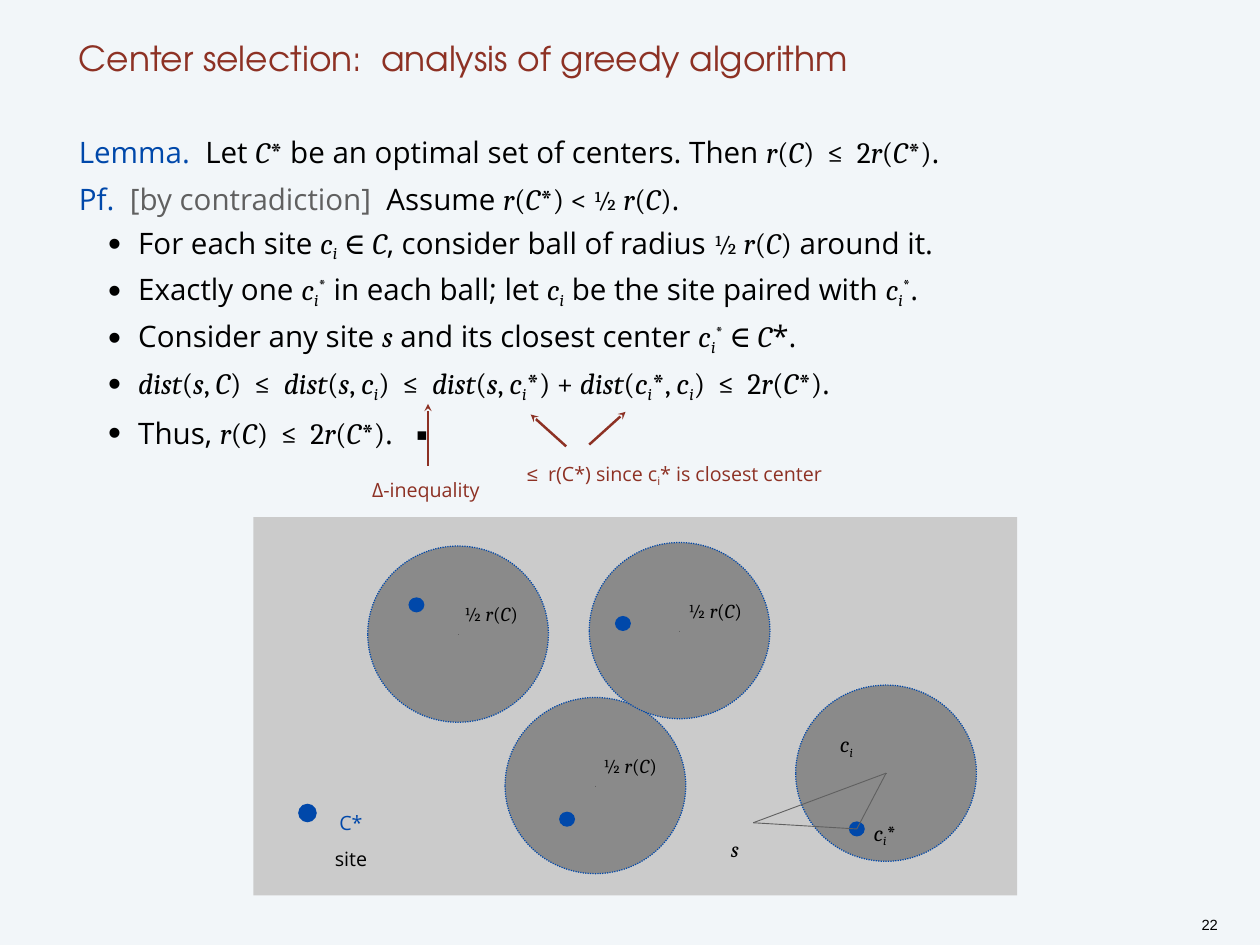
"""Build the slide on the analysis of the greedy center selection algorithm."""
from itertools import groupby

from lxml.etree import SubElement
from pptx import Presentation
from pptx.dml.color import RGBColor
from pptx.enum.dml import MSO_LINE
from pptx.enum.shapes import MSO_CONNECTOR, MSO_SHAPE
from pptx.enum.text import MSO_ANCHOR, MSO_AUTO_SIZE, PP_ALIGN
from pptx.oxml.ns import qn
from pptx.util import Inches, Pt

COLORS = {
    "page": "F2F6F9", "red": "8D3124", "blue": "0048AA", "gray": "606060",
    "black": "000000", "panel": "CBCBCB", "ball": "8A8A8A",
}
TEXT_FONT, MATH_FONT, TITLE_FONT = "Open Sans", "Cambria", "TeX Gyre Adventor"
SHIFTS = {"_": "-20000", "^": "32000"}
BALL_SIZE = (2.04, 1.99)
SITE_SIZE = (0.18, 0.17)

STATEMENTS = [
    [("Lemma.  ", "blue"),
     ("Let $C*$ be an optimal set of centers. Then $r(C)  ≤  2r(C*)$.", "black")],
    [("Pf.  ", "blue"), ("[by contradiction]", "gray"),
     ("  Assume $r(C*) < ½ r(C)$.", "black")],
]
STEPS = [
    "For each site $c_i ∈ C$, consider ball of radius $½ r(C)$ around it.",
    "Exactly one $c_i^*$ in each ball; let $c_i$ be the site paired with $c_i^*$.",
    "Consider any site $s$ and its closest center $c_i^* ∈ C$*.",
    "$dist(s, C)  ≤  dist(s, c_i)  ≤  dist(s, c_i*) + dist(c_i*, c_i)  ≤  2r(C*)$.",
    "Thus, $r(C)  ≤  2r(C*)$.   ▪",
]
BALL_CENTERS = [(5.17, 7.16), (6.72, 8.87), (7.67, 7.12), (10, 8.73)]
SITE_CENTERS = [(6.4, 9.25), (4.7, 6.83), (7.03, 7.04), (9.67, 9.36)]
RADIUS_LABELS = [(5.24, 6.71), (6.81, 8.43), (7.77, 6.68)]
TRIANGLE = [(10, 8.73), (8.5, 9.29), (9.67, 9.36)]
ARROWS = [
    ((6.39, 5.04), (5.99, 4.68)),
    ((4.83, 5.26), (4.83, 4.56)),
    ((6.65, 5.02), (7.06, 4.65)),
]


def color(name):
    """Return the named colour."""
    return RGBColor.from_string(COLORS[name])


def split_styles(text, is_math):
    """Yield pieces of text with their italic, baseline, small and Arial settings."""
    styled, shift = [], None
    for char in text:
        if char in SHIFTS:
            shift = SHIFTS[char]
            continue
        style = (is_math and char.isalpha(), shift, char == "½", char == "≤" and not is_math)
        styled.append((char, style))
        shift = None
    for style, group in groupby(styled, key=lambda item: item[1]):
        yield "".join(char for char, _ in group), style


def add_spans(para, text, size, tint=None):
    """Add text in which dollar signs enclose mathematics."""
    for index, part in enumerate(text.split("$")):
        is_math = index % 2 == 1
        for piece, (italic, shift, is_half, is_arial) in split_styles(part, is_math):
            span = para.add_run()
            span.text = piece
            if is_math:
                span.font.name = MATH_FONT
            if is_arial:
                span.font.name = "Arial"
            if italic:
                span.font.italic = True
            if is_half and size == 24:
                span.font.size = Pt(22)
            if tint:
                span.font.color.rgb = color(tint)
            if shift:
                span._r.get_or_add_rPr().set("baseline", shift)


def set_font(para, size, tint="black", font=TEXT_FONT):
    """Set the font that the paragraph's runs share."""
    para.font.size = Pt(size)
    para.font.name = font
    para.font.color.rgb = color(tint)


def add_box(page, left, top, width, height, inset=0):
    """Add an empty text box and return its frame."""
    box = page.shapes.add_textbox(Inches(left), Inches(top), Inches(width), Inches(height))
    frame = box.text_frame
    frame.word_wrap = True
    frame.margin_left = frame.margin_right = Inches(inset)
    frame.margin_top = frame.margin_bottom = Inches(inset)
    return frame


def add_label(page, place, text, size=16, tint="black", font=TEXT_FONT, spacing=1.3, inset=0):
    """Add a label on one line that starts at the left of its place."""
    frame = add_box(page, *place, inset=inset)
    frame.auto_size = MSO_AUTO_SIZE.NONE
    para = frame.paragraphs[0]
    para.alignment = PP_ALIGN.LEFT
    para.line_spacing = spacing
    set_font(para, size, tint, font)
    add_spans(para, text, size)


def add_title(page, text):
    """Add the slide's heading."""
    frame = add_box(page, 0.89, 0, 12.44, 0.89)
    frame.vertical_anchor = MSO_ANCHOR.BOTTOM
    para = frame.paragraphs[0]
    para.line_spacing = Pt(38)
    set_font(para, 28, "red", TITLE_FONT)
    add_spans(para, text, 28)


def add_bullet(para):
    """Give the paragraph a hanging bullet."""
    properties = para._p.get_or_add_pPr()
    properties.set("marL", str(Inches(0.67)))
    properties.set("indent", str(Inches(-0.34)))
    SubElement(properties, qn("a:buSzPct"), val="125000")
    SubElement(properties, qn("a:buFont"), typeface="Arial")
    SubElement(properties, qn("a:buChar"), char="•")


def add_proof(page):
    """Add the lemma and the steps of its proof."""
    frame = add_box(page, 0.89, 1.39, 12.44, 8.94)
    lines = STATEMENTS + [[(step, "black")] for step in STEPS]
    for index, line in enumerate(lines):
        para = frame.add_paragraph() if index else frame.paragraphs[0]
        para.line_spacing = Pt(38)
        if index >= len(STATEMENTS):
            add_bullet(para)
        set_font(para, 24)
        for text, tint in line:
            add_spans(para, text, 24, None if tint == "black" else tint)


def add_figure(page, kind, left, top, width, height, fill):
    """Add a filled shape without an outline."""
    shape = page.shapes.add_shape(kind, Inches(left), Inches(top), Inches(width), Inches(height))
    shape.shadow.inherit = False
    shape.fill.solid()
    shape.fill.fore_color.rgb = color(fill)
    shape.line.fill.background()
    return shape


def add_disc(page, center, size, fill):
    """Add an ellipse around a center."""
    left, top = (middle - length / 2 for middle, length in zip(center, size))
    return add_figure(page, MSO_SHAPE.OVAL, left, top, *size, fill)


def add_line(page, start, end, tint="gray", width=0.75, arrow=False):
    """Add a straight line, with an arrowhead at its end if wanted."""
    points = [Inches(value) for value in (*start, *end)]
    line = page.shapes.add_connector(MSO_CONNECTOR.STRAIGHT, *points)
    line.line.color.rgb = color(tint)
    line.line.width = Pt(width)
    if arrow:
        SubElement(line.line._get_or_add_ln(), qn("a:tailEnd"), type="stealth")
    SubElement(line._element.spPr, qn("a:effectLst"))


def add_ball(page, center):
    """Add a ball with a dotted outline and a point at its center."""
    ball = add_disc(page, center, BALL_SIZE, "ball")
    ball.line.color.rgb = color("blue")
    ball.line.width = Pt(1)
    ball.line.dash_style = MSO_LINE.ROUND_DOT
    add_line(page, center, (center[0], center[1] + 0.01))


def add_diagram(page):
    """Add the balls, sites, triangle and legend."""
    add_figure(page, MSO_SHAPE.RECTANGLE, 2.86, 5.84, 8.62, 4.27, "panel")
    for center in BALL_CENTERS:
        add_ball(page, center)
    for center in SITE_CENTERS:
        add_disc(page, center, SITE_SIZE, "blue")
    for index, corner in enumerate(TRIANGLE):
        add_line(page, TRIANGLE[index - 1], corner)
    for left, top in RADIUS_LABELS:
        add_label(page, (left, top, 0.8, 0.31), "$½ r(C)$")
    add_label(page, (9.48, 8.15, 0.3, 0.36), "$c_i$", 18)
    add_label(page, (9.86, 9.15, 0.4, 0.36), "$c_i*$", 18)
    add_label(page, (8.25, 9.34, 0.2, 0.33), "$s$", 18)
    add_disc(page, (3.47, 9.18), (0.21, 0.21), "blue")
    add_label(page, (3.83, 9.07, 0.4, 0.21), "C*", tint="blue")
    add_label(page, (3.78, 9.48, 0.5, 0.21), "site")


def main():
    """Build and save the deck."""
    deck = Presentation()
    deck.slide_width, deck.slide_height = Inches(14.22), Inches(10.67)
    page = deck.slides.add_slide(deck.slide_layouts[6])
    page.background.fill.solid()
    page.background.fill.fore_color.rgb = color("page")
    add_title(page, "Center selection:  analysis of greedy algorithm")
    add_proof(page)
    add_label(page, (13.52, 10.3, 0.31, 0.24), "22", 12, font="Arial", spacing=Pt(14), inset=0.04)
    add_diagram(page)
    add_label(page, (5.95, 5.13, 3.54, 0.25), "≤  r(C*) since c_i* is closest center", tint="red")
    add_label(page, (4.2, 5.32, 1.31, 0.25), "Δ-inequality", tint="red")
    for start, end in ARROWS:
        add_line(page, start, end, "red", 2, arrow=True)
    deck.save("out.pptx")


if __name__ == "__main__":
    main()
